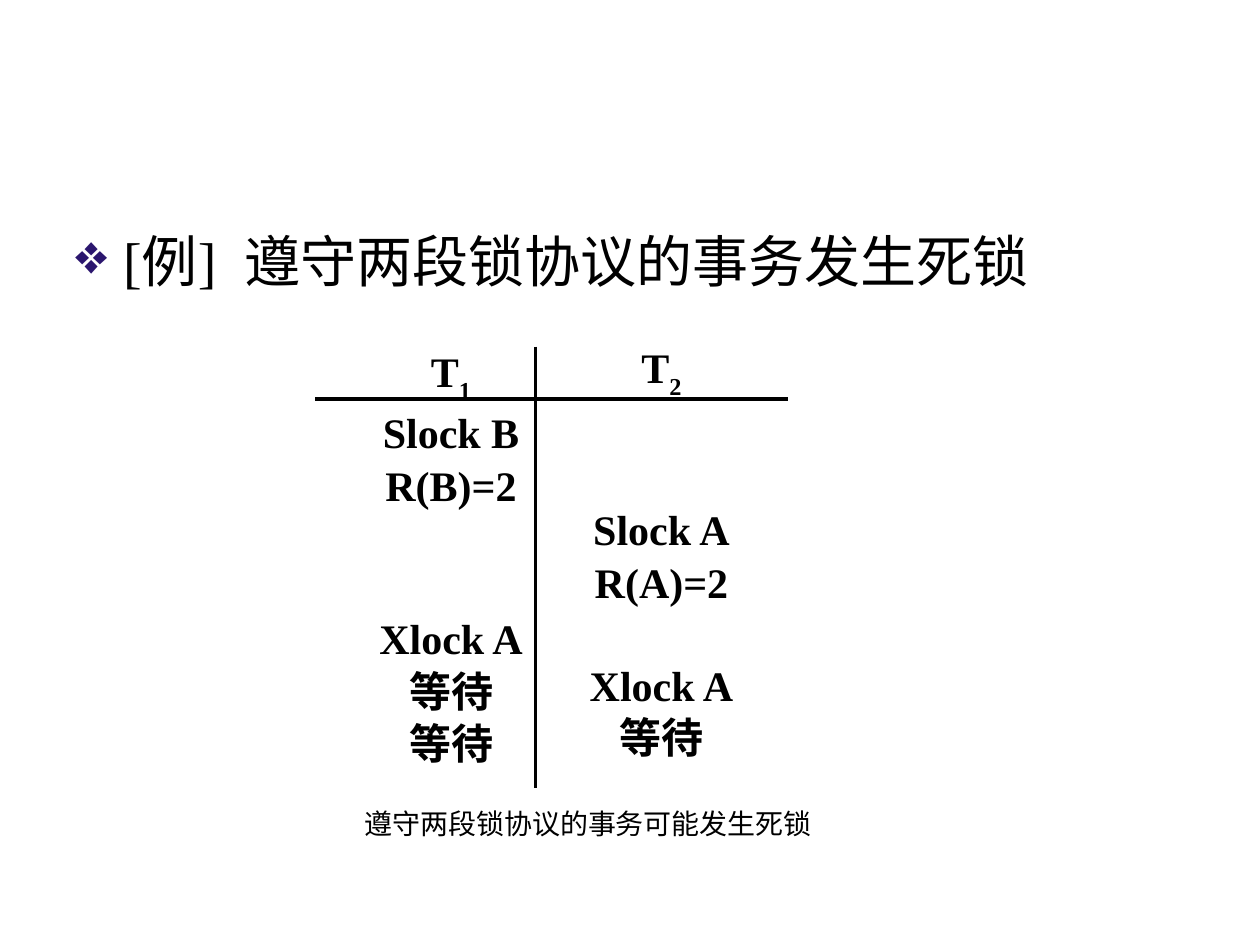
import pptx
import pptx.dml.color
import pptx.enum.shapes
import pptx.enum.text
import pptx.oxml
import pptx.oxml.ns
import pptx.util
from pptx.util import Inches

COLORS = {"ink": "000000", "bullet": "2B166E"}
FONT = "Times New Roman"
LINE_GAP = 1.2
BLANK_LINE = 28.8
CENTER = pptx.enum.text.PP_ALIGN.CENTER


def color(name):
    return pptx.dml.color.RGBColor.from_string(COLORS[name])


def apply_format(target, values):
    for name, value in values.items():
        setattr(target, name, value)


def add_run(paragraph, text, size, bold=False):
    run = paragraph.add_run()
    run.text = text
    apply_format(run.font, {"name": FONT, "size": pptx.util.Pt(size), "bold": bold})
    run.font.color.rgb = color("ink")
    return run


def add_text_frame(slide, box, wrap, margin_top=0.05):
    shape = slide.shapes.add_textbox(*map(Inches, box))
    apply_format(shape.text_frame, {
        "word_wrap": wrap,
        "margin_top": Inches(margin_top),
        "vertical_anchor": pptx.enum.text.MSO_ANCHOR.TOP,
    })
    return shape.text_frame


def add_bullet(paragraph, character):
    properties = paragraph._p.get_or_add_pPr()
    apply_indent = {"marL": Inches(0.38), "indent": Inches(-0.38)}
    for name, value in apply_indent.items():
        properties.set(name, str(int(value)))
    namespace = pptx.oxml.ns.nsdecls("a")
    for xml in (
        f'<a:buClr {namespace}><a:srgbClr val="{COLORS["bullet"]}"/></a:buClr>',
        f'<a:buChar {namespace} char="{character}"/>',
    ):
        properties.append(pptx.oxml.parse_xml(xml))


def add_heading(slide, box):
    paragraph = add_text_frame(slide, box, True).paragraphs[0]
    add_bullet(paragraph, "❖")
    add_run(paragraph, "[例]", 32)
    gap = add_run(paragraph, " ", 32)
    gap.font._element.set("spc", "800")
    add_run(paragraph, "遵守两段锁协议的事务发生死锁", 32)


def add_transaction(slide, box, margin_top, number, steps):
    frame = add_text_frame(slide, box, False, margin_top)
    title = frame.paragraphs[0]
    title.alignment = CENTER
    add_run(title, "T", 24, True)
    subscript = add_run(title, number, 24, True)
    subscript.font._element.set("baseline", "-30000")
    for blank_lines, text in steps:
        paragraph = frame.add_paragraph()
        apply_format(paragraph, {
            "alignment": CENTER,
            "space_before": pptx.util.Pt(LINE_GAP + BLANK_LINE * blank_lines),
        })
        add_run(paragraph, text, 24, True)


def add_rule(slide, *ends):
    line = slide.shapes.add_connector(
        pptx.enum.shapes.MSO_CONNECTOR.STRAIGHT, *map(Inches, ends))
    line.line.color.rgb = color("ink")
    line.line.width = pptx.util.Pt(2.25)
    line._element.spPr.append(pptx.oxml.parse_xml(
        f'<a:effectLst {pptx.oxml.ns.nsdecls("a")}/>'))


def add_schedule(slide, box):
    left, top, width, height = box
    add_transaction(slide, (left + 0.41, top - 0.17, 1.34, 3.92), 0.16, "1", [
        (0, "Slock B"), (0, "R(B)=2"), (2, "Xlock A"), (0, "等待"), (0, "等待")])
    add_transaction(slide, (left + 2.08, top - 0.09, 1.34, 3.92), 0.05, "2", [
        (2, "Slock A"), (0, "R(A)=2"), (1, "Xlock A"), (0, "等待")])
    add_rule(slide, left, top + 0.42, left + width, top + 0.42)
    add_rule(slide, left + 1.75, top, left + 1.75, top + height)


def add_caption(slide, box):
    paragraph = add_text_frame(slide, box, False).paragraphs[0]
    paragraph.alignment = CENTER
    add_run(paragraph, "遵守两段锁协议的事务可能发生死锁", 16)


def main():
    presentation = pptx.Presentation()
    apply_format(presentation, {"slide_width": Inches(10), "slide_height": Inches(7.5)})
    slide = presentation.slides.add_slide(presentation.slide_layouts[6])
    add_heading(slide, (0.5, 1.75, 9, 4.95))
    add_schedule(slide, (2.5, 2.75, 3.75, 3.5))
    add_caption(slide, (2.76, 6.35, 3.82, 0.4))
    presentation.save("out.pptx")


if __name__ == "__main__":
    main()
